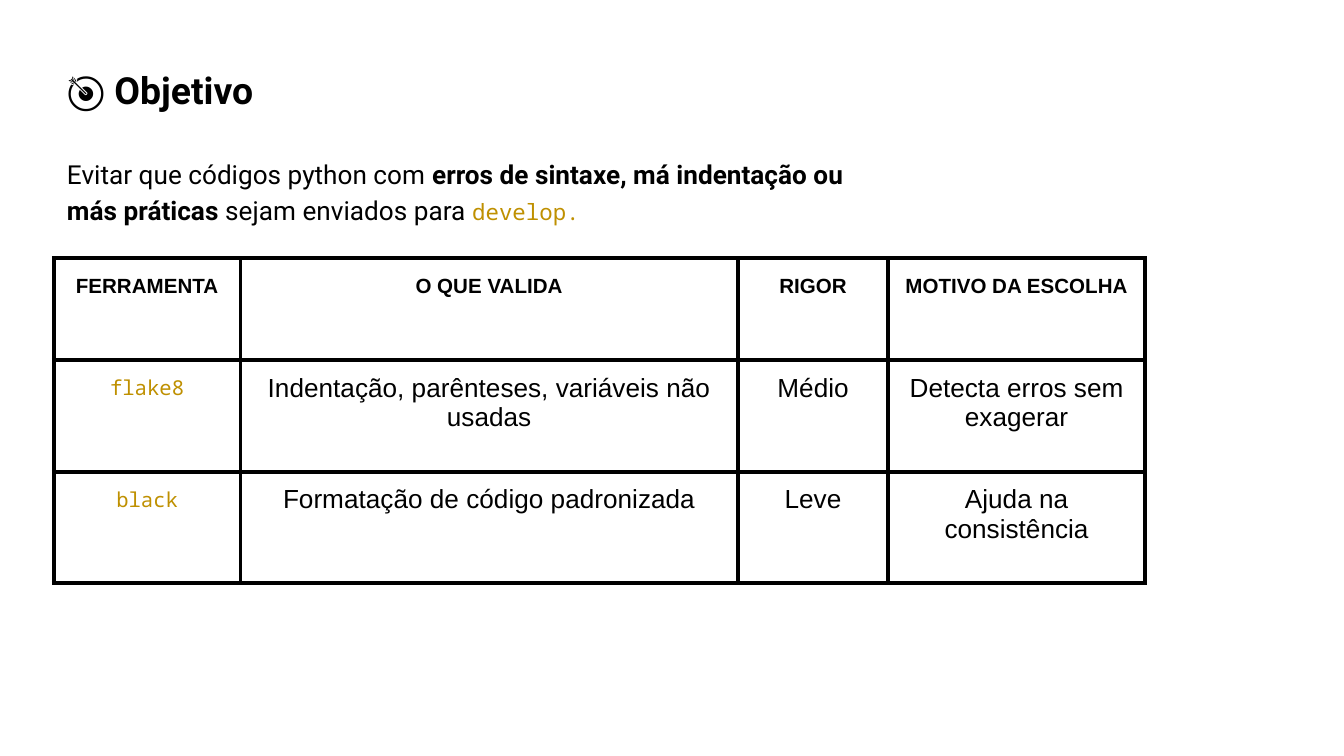
import pptx
import pptx.util
import pptx.enum.text
import pptx.dml.color
import pptx.oxml
import pptx.oxml.ns

COLORS = {"ink": "000000", "code": "BF9000", "background": "FFFFFF"}
BODY_FONT = "Roboto"
TABLE_FONT = "Arial"
CODE_FONT = "Noto Sans Mono"
Inches = pptx.util.Inches


class SlideBuilder:
    margin = Inches(0.1)
    left = Inches(0.4)
    line_spacing = 1.15
    border_width = pptx.util.Pt(2.25)

    def __init__(self, presentation):
        self.slide = presentation.slides.add_slide(presentation.slide_layouts[5])
        fill = self.slide.background.fill
        fill.solid()
        fill.fore_color.rgb = self.color("background")

    def color(self, name):
        return pptx.dml.color.RGBColor.from_string(COLORS[name])

    def add_run(self, paragraph, text, size, font=BODY_FONT, color="ink", bold=False):
        run = paragraph.add_run()
        run.text = text
        run.font.size = pptx.util.Pt(size)
        run.font.name = font
        run.font.bold = bold
        run.font.color.rgb = self.color(color)

    def format_frame(self, frame):
        frame.word_wrap = True
        frame.auto_size = pptx.enum.text.MSO_AUTO_SIZE.NONE
        frame.vertical_anchor = pptx.enum.text.MSO_ANCHOR.TOP
        frame.margin_left = frame.margin_right = self.margin
        frame.margin_top = frame.margin_bottom = self.margin
        paragraph = frame.paragraphs[0]
        paragraph.alignment = pptx.enum.text.PP_ALIGN.LEFT
        paragraph.line_spacing = self.line_spacing
        return paragraph

    def add_title(self, text, top, width, height):
        title = self.slide.shapes.title
        title.left, title.top = self.left, Inches(top)
        title.width, title.height = Inches(width), Inches(height)
        paragraph = self.format_frame(title.text_frame)
        self.add_run(paragraph, text, 20, bold=True)

    def add_text(self, runs, top, width, height):
        box = self.slide.shapes.add_textbox(
            self.left, Inches(top), Inches(width), Inches(height)
        )
        paragraph = self.format_frame(box.text_frame)
        for text, style in runs:
            self.add_run(paragraph, text, **style)

    def add_borders(self, cell):
        properties = cell._tc.get_or_add_tcPr()
        for index, side in enumerate(("lnL", "lnR", "lnT", "lnB")):
            border = pptx.oxml.parse_xml(
                f'<a:{side} {pptx.oxml.ns.nsdecls("a")} w="{self.border_width}">'
                f'<a:solidFill><a:srgbClr val="{COLORS["ink"]}"/></a:solidFill>'
                f"</a:{side}>"
            )
            properties.insert(index, border)

    def fill_cell(self, cell, text, style, line_spacing):
        cell.fill.background()
        cell.margin_left = cell.margin_right = self.margin
        cell.margin_top = cell.margin_bottom = self.margin
        cell.vertical_anchor = pptx.enum.text.MSO_ANCHOR.TOP
        paragraph = cell.text_frame.paragraphs[0]
        paragraph.alignment = pptx.enum.text.PP_ALIGN.CENTER
        paragraph.line_spacing = line_spacing
        self.add_run(paragraph, text, **style)
        self.add_borders(cell)

    def add_table(self, rows, top, widths, heights):
        table = self.slide.shapes.add_table(
            len(rows), len(widths), self.left, Inches(top),
            Inches(sum(widths)), Inches(sum(heights)),
        ).table
        table.first_row = False
        table.horz_banding = False
        for column, width in zip(table.columns, widths):
            column.width = Inches(width)
        for row, height in zip(table.rows, heights):
            row.height = Inches(height)
        header = {"size": 11, "font": TABLE_FONT, "bold": True}
        tool = {"size": 11, "font": CODE_FONT, "color": "code"}
        detail = {"size": 14, "font": TABLE_FONT}
        for row_index, values in enumerate(rows):
            for column_index, text in enumerate(values):
                if row_index == 0:
                    style, spacing = header, self.line_spacing
                else:
                    style, spacing = (detail if column_index else tool), 1.0
                self.fill_cell(table.cell(row_index, column_index), text, style, spacing)


def main():
    presentation = pptx.Presentation()
    presentation.slide_width = Inches(10)
    presentation.slide_height = presentation.slide_width * 9 // 16

    builder = SlideBuilder(presentation)
    builder.add_title("🎯 Objetivo", 0.35, 2.81, 1.14)
    builder.add_text(
        [
            ("Evitar que códigos python com ", {"size": 14}),
            ("erros de sintaxe, má indentação ou más práticas", {"size": 14, "bold": True}),
            (" sejam enviados para ", {"size": 14}),
            ("develop.", {"size": 12, "font": CODE_FONT, "color": "code"}),
        ],
        1.04, 6.12, 0.71,
    )
    builder.add_table(
        [
            ("FERRAMENTA", "O QUE VALIDA", "RIGOR", "MOTIVO DA ESCOLHA"),
            ("flake8", "Indentação, parênteses, variáveis não usadas", "Médio",
             "Detecta erros sem exagerar"),
            ("black", "Formatação de código padronizada", "Leve", "Ajuda na consistência"),
        ],
        1.92, (1.39, 3.7, 1.12, 1.91), (0.76, 0.83, 0.83),
    )
    presentation.save("out.pptx")


if __name__ == "__main__":
    main()
